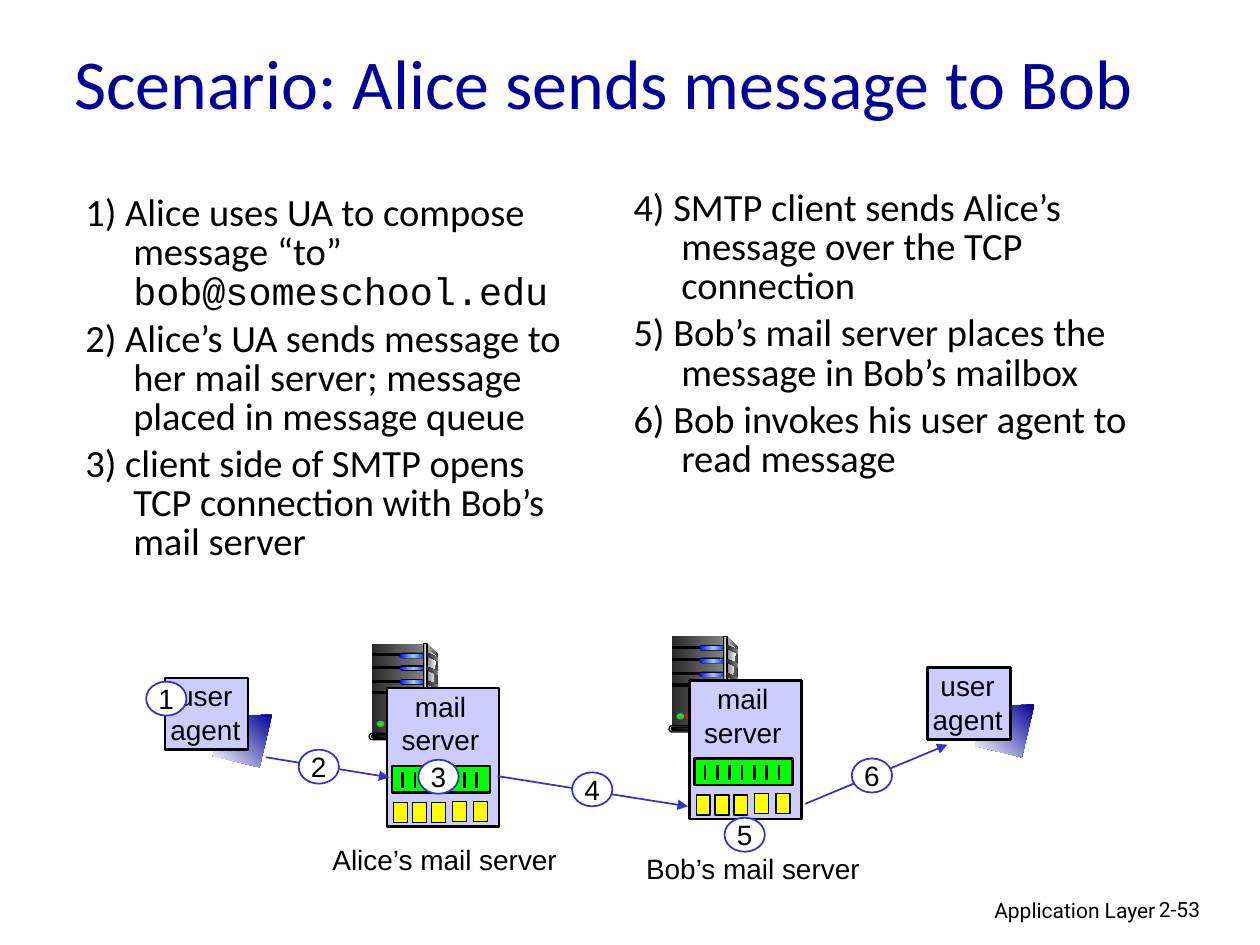
import lxml.etree
import pptx
import pptx.dml.color
import pptx.enum.dml
import pptx.enum.shapes
import pptx.enum.text
import pptx.oxml.ns
import pptx.util

SHAPE = pptx.enum.shapes.MSO_SHAPE
ALIGN = pptx.enum.text.PP_ALIGN
ANCHOR = pptx.enum.text.MSO_ANCHOR
COLUMNS = 100
BLACK, NAVY, BLUE, LILAC = "000000", "000099", "3333CC", "CCCCFF"
METAL = ("292929", "808080")
GLOW = ("0000FF", "99CCFF", "0000FF")


def color(code):
    return pptx.dml.color.RGBColor.from_string(code)


def add_xml(parent, tag, **attributes):
    return lxml.etree.SubElement(parent, pptx.oxml.ns.qn(tag), **attributes)


def write_text(shape, *paragraphs, font="Arial", size=16, ink=BLACK, align=ALIGN.LEFT,
               anchor=ANCHOR.TOP, wrap=True, hanging=0, spacing=None, gap=0):
    """Fill a shape with paragraphs, each a string or a list of (text, font) runs."""
    frame = shape.text_frame
    frame.word_wrap = wrap
    frame.vertical_anchor = anchor
    for index, content in enumerate(paragraphs):
        paragraph = frame.add_paragraph() if index else frame.paragraphs[0]
        paragraph.alignment = align
        if spacing:
            paragraph.line_spacing = spacing
        if index and gap:
            paragraph.space_before = pptx.util.Pt(gap)
        if hanging:
            indent = pptx.util.Inches(hanging)
            properties = paragraph._p.get_or_add_pPr()
            properties.set("marL", str(indent))
            properties.set("indent", str(-indent))
        runs = [(content, font)] if isinstance(content, str) else content
        for text, name in runs:
            run = paragraph.add_run()
            run.text = text
            run.font.name = name
            run.font.size = pptx.util.Pt(size)
            run.font.color.rgb = color(ink)


class Sketch:
    """Hold the slide, its square grid and the group being drawn."""

    def __init__(self, presentation):
        self.slide = presentation.slides.add_slide(presentation.slide_layouts[6])
        self.cell = presentation.slide_width / COLUMNS
        self.leave_group()

    def leave_group(self):
        self.shapes = self.slide.shapes
        self.origin = (0, 0)

    def enter_group(self, column, row):
        self.shapes = self.slide.shapes.add_group_shape().shapes
        self.origin = (column, row)

    def point(self, column, row):
        return (round((self.origin[0] + column) * self.cell),
                round((self.origin[1] + row) * self.cell))

    def frame(self, column, row, width, height):
        return (*self.point(column, row), round(width * self.cell), round(height * self.cell))

    def paint(self, shape, fill, line=None, weight=0.75, angle=0):
        shape.shadow.inherit = False
        if isinstance(fill, str):
            shape.fill.solid()
            shape.fill.fore_color.rgb = color(fill)
        else:
            shape.fill.gradient()
            shape.fill.gradient_angle = angle
            stops = shape._element.spPr.find(".//" + pptx.oxml.ns.qn("a:gsLst"))
            stops[:] = []
            for index, code in enumerate(fill):
                stop = add_xml(stops, "a:gs", pos=str(100000 * index // (len(fill) - 1)))
                add_xml(stop, "a:srgbClr", val=code)
        if line:
            shape.line.color.rgb = color(line)
            shape.line.width = pptx.util.Pt(weight)
        else:
            shape.line.fill.background()
        return shape

    def box(self, place, fill, line=None, weight=0.75, kind=SHAPE.RECTANGLE):
        shape = self.shapes.add_shape(kind, *self.frame(*place))
        if kind == SHAPE.ROUNDED_RECTANGLE:
            shape.adjustments[0] = 0.5
        return self.paint(shape, fill, line, weight)

    def pill(self, place, fill, line=None):
        return self.box(place, fill, line, kind=SHAPE.ROUNDED_RECTANGLE)

    def outline(self, corners, fill, angle=0):
        start, *others = [self.point(*corner) for corner in corners]
        builder = self.shapes.build_freeform(*start, scale=1.0)
        builder.add_line_segments(others, close=True)
        return self.paint(builder.convert_to_shape(), fill, angle=angle)

    def line(self, start, end, ink=BLACK, weight=1.5, arrow=False):
        connector = self.shapes.add_connector(
            pptx.enum.shapes.MSO_CONNECTOR.STRAIGHT, *self.point(*start), *self.point(*end))
        connector.line.color.rgb = color(ink)
        connector.line.width = pptx.util.Pt(weight)
        if arrow:
            add_xml(connector.line._get_or_add_ln(), "a:tailEnd", type="triangle")
        add_xml(connector._element.spPr, "a:effectLst")

    def text(self, place, *paragraphs, **style):
        write_text(self.shapes.add_textbox(*self.frame(*place)), *paragraphs, **style)

    def badge(self, column, row, label):
        shape = self.box((column, row, 3.2, 2.7), "FFFFFF", BLUE, 1, SHAPE.OVAL)
        write_text(shape, label, align=ALIGN.CENTER, anchor=ANCHOR.MIDDLE, wrap=False)

    def user_agent(self, column, row):
        self.enter_group(column, row)
        self.outline([(8.5, 2.9), (4.5, 3.1), (3.8, 6.2), (7.5, 7.1)],
                     (NAVY, "FFFFFF"), angle=225)
        self.box((0, 0, 6.6, 5.7), LILAC, BLACK, 1.5)
        self.text((-0.6, -0.4, 7.6, 6.4), "user", "agent", align=ALIGN.CENTER, wrap=False)
        self.leave_group()

    def tower(self, column, row):
        self.enter_group(column, row)
        self.outline([(4.6, 0), (5.5, 0.9), (5.5, 6.9), (4.4, 7.2)], ("DDDDDD", "333333"))
        self.box((0.2, 0, 4.1, 7.2), METAL)
        self.outline([(4.6, 0.4), (5.3, 1), (4.6, 7)], ("808080", "F8F8F8"))
        for top in (0.8, 1.8, 2.9, 3.8):
            self.box((0.3, top, 2.3, 0.15), BLACK, BLACK)
        for top in (0.8, 1.8, 2.9):
            self.pill((2.4, top - 0.1, 2.3, 0.45), BLACK)
            self.pill((2.4, top, 2.2, 0.3), GLOW)
        self.box((4.3, 0, 0.3, 7.2), ("333333", "DDDDDD", "333333"), BLACK)
        for top in (0.7, 1.8, 2.9):
            self.outline([(4.6, top), (5.5, top + 0.4), (5.5, top + 0.7), (4.6, top + 0.3)], METAL)
        self.pill((0, 7.1, 4.7, 0.5), "DDDDDD", BLACK)
        self.pill((0.2, 7.2, 4.2, 0.3), (BLACK, "808080"), BLACK)
        for left, fill in ((0.6, "33CC33"), (1.3, "FF0000")):
            self.box((left, 6.1, 0.6, 0.5), fill, kind=SHAPE.OVAL)
        self.leave_group()

    def mail_server(self, column, row):
        self.enter_group(column, row)
        self.box((0, 0, 8.9, 11), LILAC, BLACK, 1.5)
        self.text((0.15, -0.4, 8.2, 6.4), "mail", "server", align=ALIGN.CENTER, wrap=False)
        self.box((0.4, 6.2, 7.8, 2.1), "00FF00", BLACK, 1.5)
        for index in range(7):
            left = 1.25 + 0.98 * index
            self.line((left, 6.7), (left, 7.9))
        for index, left in enumerate((0.55, 2.05, 3.55, 5.2, 6.9)):
            self.box((left, 9.1 if index < 3 else 9, 1.1, 1.6), "FFFF00", BLACK)
        self.leave_group()


def main():
    presentation = pptx.Presentation()
    presentation.slide_width = pptx.util.Inches(10)
    presentation.slide_height = pptx.util.Inches(7.5)
    sketch = Sketch(presentation)
    footer = dict(font="Roboto", size=12)
    sketch.text((61, 70.7, 31.7, 3.1), "Application Layer", align=ALIGN.RIGHT, **footer)
    sketch.text((91, 70.7, 7.4, 3), "2-53", **footer)
    sketch.user_agent(13.1, 53.8)
    sketch.tower(53.1, 50.5)
    sketch.tower(29.3, 51.1)
    sketch.text((4.9, 0.2, 90.1, 12.5), "Scenario: Alice sends message to Bob",
                font="Calibri", size=40, ink=NAVY, anchor=ANCHOR.MIDDLE)
    steps = dict(font="Calibri", size=22, hanging=0.38, spacing=0.85, gap=4.4)
    sketch.text((5.8, 15, 41.7, 35.2),
                [("1) Alice uses UA to compose message “to” ", "Calibri"),
                 ("bob@someschool.edu", "Courier New")],
                "2) Alice’s UA sends message to her mail server; message placed in message queue",
                "3) client side of SMTP opens TCP connection with Bob’s mail server", **steps)
    sketch.text((49.3, 14.6, 41.7, 35.7),
                "4) SMTP client sends Alice’s message over the TCP connection",
                "5) Bob’s mail server places the message in Bob’s mailbox",
                "6) Bob invokes his user agent to read message", **steps)
    sketch.mail_server(30.7, 54.6)
    sketch.mail_server(54.7, 54)
    for start, end in (((21.1, 60.1), (30.9, 61.7)), ((39.5, 61.6), (54.6, 64)),
                       ((63.9, 63.8), (75.2, 59.1))):
        sketch.line(start, end, BLUE, 1, arrow=True)
    badges = ((11.6, 54.1), (23.7, 59.5), (33.2, 60.3), (45.4, 61.3), (57.5, 64.9), (67.6, 60.2))
    for number, (column, row) in enumerate(badges, 1):
        sketch.badge(column, row, str(number))
    sketch.text((25.4, 66.4, 19.9, 3.7), "Alice’s mail server", wrap=False)
    sketch.text((50.3, 67.1, 19, 3.7), "Bob’s mail server", wrap=False)
    sketch.user_agent(73.6, 53)
    presentation.save("out.pptx")


if __name__ == "__main__":
    main()
